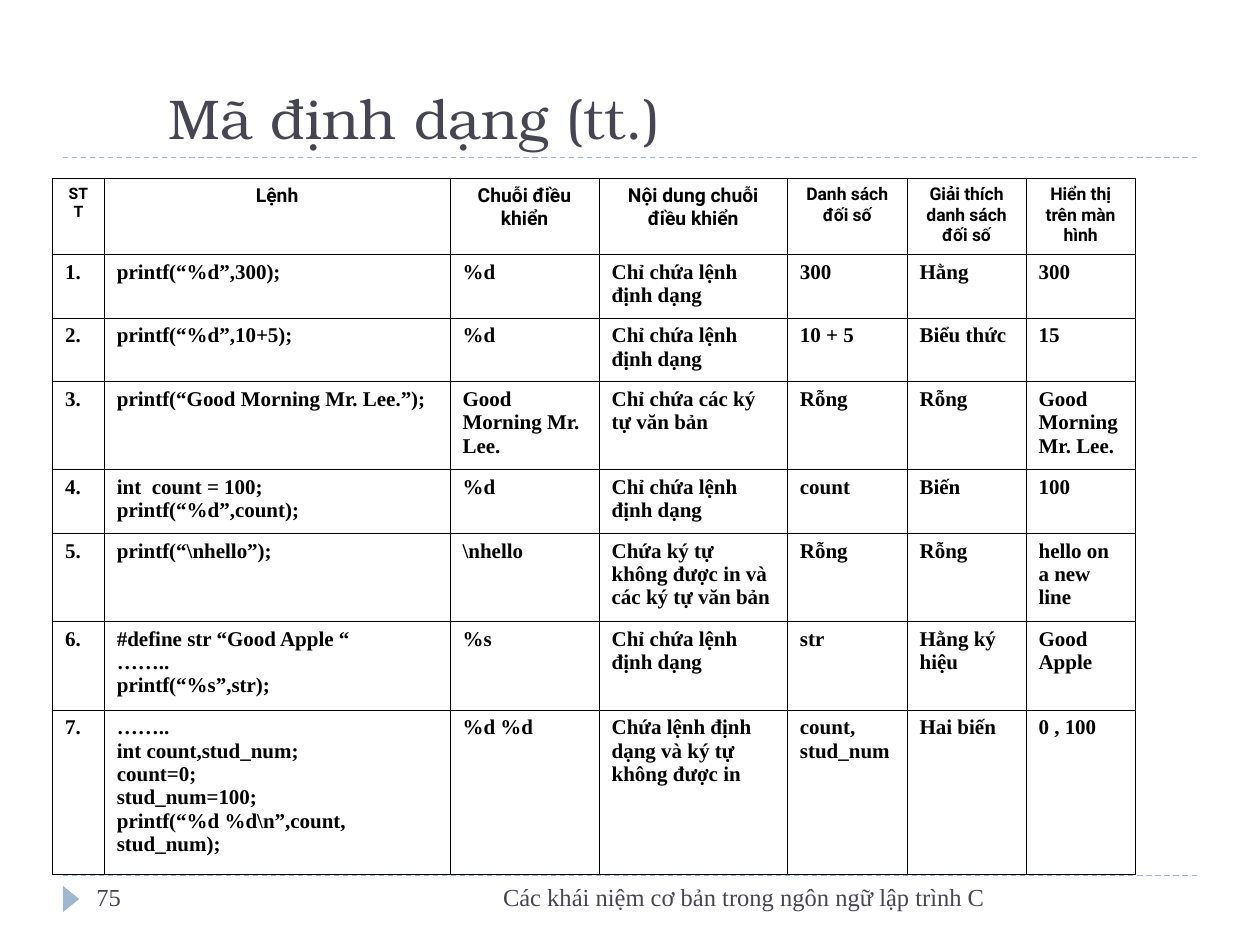
from lxml import etree
from pptx import Presentation
from pptx.dml.color import RGBColor
from pptx.enum import dml, shapes, text
from pptx.oxml.ns import qn
from pptx.util import Pt

TITLE = "Mã định dạng (tt.)"
FOOTER = "Các khái niệm cơ bản trong ngôn ngữ lập trình C"
PAGE_NUMBER = "75"

HEADERS = [  # label, font size
    ("STT", 9),
    ("Lệnh", 11),
    ("Chuỗi điều khiển", 11),
    ("Nội dung chuỗi điều khiển", 11),
    ("Danh sách đối số", 10),
    ("Giải thích danh sách đối số", 10),
    ("Hiển thị trên màn hình", 10),
]
FORMAT_ONLY = "Chỉ chứa lệnh định dạng"
COMMANDS = [
    ("printf(“%d”,300);", "%d", FORMAT_ONLY, "300", "Hằng", "300"),
    ("printf(“%d”,10+5);", "%d", FORMAT_ONLY, "10 + 5", "Biểu thức", "15"),
    ("printf(“Good Morning Mr. Lee.”);", "Good Morning Mr. Lee.",
     "Chỉ chứa các ký tự văn bản", "Rỗng", "Rỗng", "Good Morning Mr. Lee."),
    ("int  count = 100;\nprintf(“%d”,count);", "%d", FORMAT_ONLY,
     "count", "Biến", "100"),
    ("printf(“\\nhello”);", "\\nhello",
     "Chứa ký tự không được in và các ký tự văn bản",
     "Rỗng", "Rỗng", "hello on a new line"),
    ("#define str “Good Apple “\n……..\nprintf(“%s”,str);", "%s", FORMAT_ONLY,
     "str", "Hằng ký hiệu", "Good Apple"),
    ("……..\nint count,stud_num;\ncount=0;\nstud_num=100;\n"
     "printf(“%d %d\\n”,count, stud_num);", "%d %d",
     "Chứa lệnh định dạng và ký tự không được in",
     "count, stud_num", "Hai biến", "0 , 100"),
]
COLUMN_WIDTHS = [29.6, 197.6, 85.2, 107.6, 68.4, 68, 62.4]
ROW_HEIGHTS = [43.4, 36.3, 36.3, 50.4, 36.3, 50.4, 50.6, 94]

HEADER_FONT, BODY_FONT, TITLE_FONT = "Roboto", "Times New Roman", "TeX Gyre Bonum"
BLACK, SLATE, BLUE = "000000", "464653", "9FB8CD"
LEFT, RIGHT = 36, 684
TITLE_RULE, FOOTER_RULE = 90, 500.4


def rgb(value):
    return RGBColor.from_string(value)


def format_text(frame, font, size, color, bold=False, align=text.PP_ALIGN.LEFT):
    for paragraph in frame.paragraphs:
        paragraph.alignment = align
        for run in paragraph.runs:
            run.font.name = font
            run.font.size = Pt(size)
            run.font.bold = bold
            run.font.color.rgb = rgb(color)


def add_rule(slide, y):
    rule = slide.shapes.add_connector(
        shapes.MSO_CONNECTOR.STRAIGHT, Pt(LEFT), Pt(y), Pt(RIGHT), Pt(y))
    rule.line.color.rgb = rgb(BLUE)
    rule.line.width = Pt(0.75)
    rule.line.dash_style = dml.MSO_LINE.DASH
    etree.SubElement(rule._element.spPr, qn("a:effectLst"))


def add_label(slide, content, left, width, align):
    box = slide.shapes.add_textbox(Pt(left), Pt(FOOTER_RULE), Pt(width), Pt(28.8))
    box.text_frame.word_wrap = True
    box.text_frame.text = content
    format_text(box.text_frame, BODY_FONT, 14, SLATE, align=align)


def add_borders(cell):
    properties = cell._tc.get_or_add_tcPr()
    for side in ("a:lnL", "a:lnR", "a:lnT", "a:lnB"):
        line = etree.SubElement(properties, qn(side), w=str(Pt(0.45)))
        fill = etree.SubElement(line, qn("a:solidFill"))
        etree.SubElement(fill, qn("a:srgbClr"), val=BLACK)


def add_command_table(slide):
    table = slide.shapes.add_table(
        len(ROW_HEIGHTS), len(COLUMN_WIDTHS), Pt(30), Pt(102),
        Pt(sum(COLUMN_WIDTHS)), Pt(sum(ROW_HEIGHTS))).table
    table.first_row = table.horz_banding = False
    for column, width in zip(table.columns, COLUMN_WIDTHS):
        column.width = Pt(width)
    for row, height in zip(table.rows, ROW_HEIGHTS):
        row.height = Pt(height)

    rows = [[label for label, size in HEADERS]]
    rows += [(f"{number}.", *command) for number, command in enumerate(COMMANDS, 1)]
    for row_index, row in enumerate(rows):
        for column_index, content in enumerate(row):
            cell = table.cell(row_index, column_index)
            cell.text_frame.text = content
            add_borders(cell)
            cell.fill.background()
            if row_index == 0:
                format_text(cell.text_frame, HEADER_FONT, HEADERS[column_index][1],
                            BLACK, True, text.PP_ALIGN.CENTER)
            else:
                format_text(cell.text_frame, BODY_FONT, 12, BLACK, True)


def main():
    presentation = Presentation()
    presentation.slide_width, presentation.slide_height = Pt(720), Pt(540)
    slide = presentation.slides.add_slide(presentation.slide_layouts[5])

    title = slide.shapes.title
    title.left, title.top, title.width, title.height = Pt(89.3), Pt(37.4), Pt(486.7), Pt(52.6)
    title.text_frame.text = TITLE
    title.text_frame.auto_size = text.MSO_AUTO_SIZE.NONE
    title.text_frame.vertical_anchor = text.MSO_ANCHOR.BOTTOM
    format_text(title.text_frame, TITLE_FONT, 32, SLATE)

    for y in (FOOTER_RULE, TITLE_RULE):
        add_rule(slide, y)

    marker = slide.shapes.add_shape(
        shapes.MSO_SHAPE.ISOSCELES_TRIANGLE, Pt(33.1), Pt(509), Pt(15), Pt(9.4))
    marker.rotation = 90
    marker.shadow.inherit = False
    marker.fill.solid()
    marker.fill.fore_color.rgb = rgb(BLUE)
    marker.line.fill.background()

    add_command_table(slide)
    add_label(slide, FOOTER, 228, 342, text.PP_ALIGN.RIGHT)
    add_label(slide, PAGE_NUMBER, 48, 156, text.PP_ALIGN.LEFT)
    presentation.save("out.pptx")


if __name__ == "__main__":
    main()
